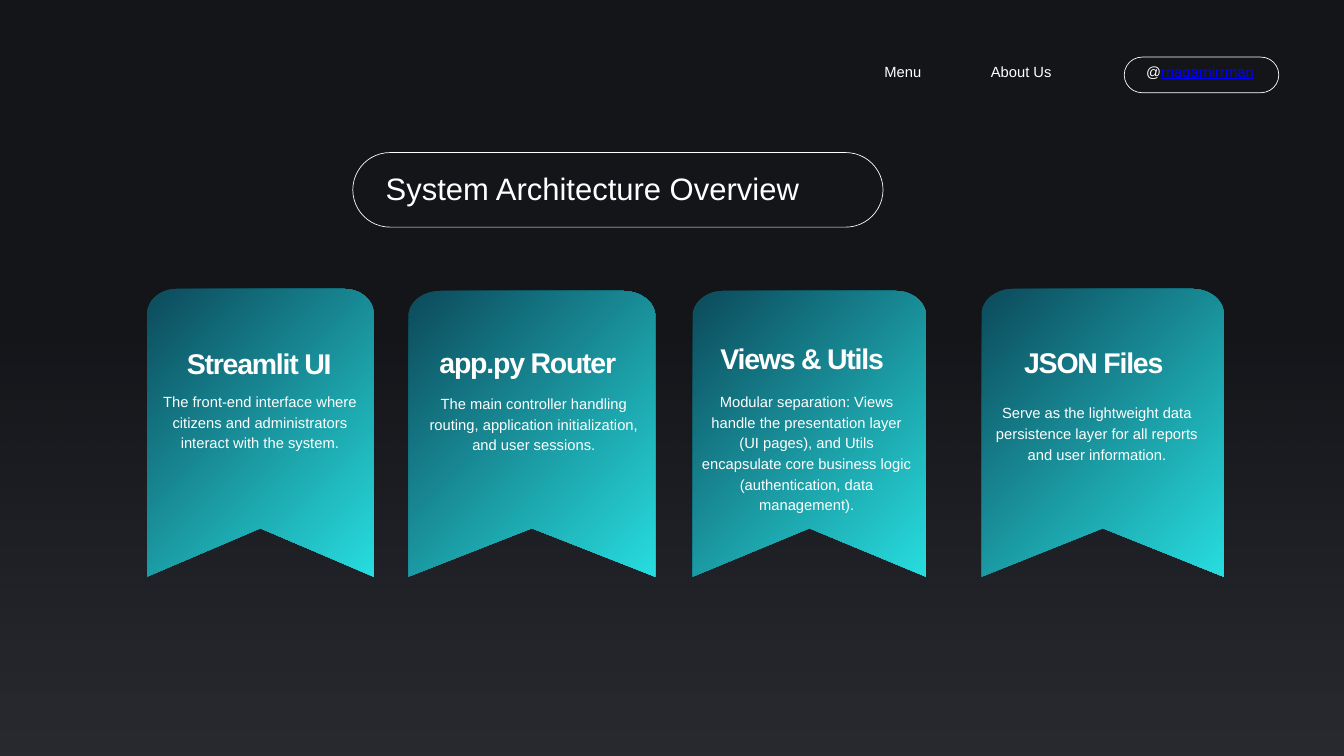
from dataclasses import dataclass
from math import cos, pi, sin

from lxml.etree import SubElement
from pptx import Presentation
from pptx.dml.color import RGBColor
from pptx.enum.shapes import MSO_SHAPE
from pptx.enum.text import MSO_AUTO_SIZE, PP_ALIGN
from pptx.oxml.ns import qn
from pptx.util import Inches, Pt


@dataclass(frozen=True)
class Theme:
    font: str = "Arial"
    background: RGBColor = RGBColor.from_string("141519")
    glow: RGBColor = RGBColor.from_string("2D2E34")
    white: RGBColor = RGBColor.from_string("FFFFFF")
    link: RGBColor = RGBColor.from_string("0000FF")
    ribbon_dark: RGBColor = RGBColor.from_string("0C4A5B")
    ribbon_light: RGBColor = RGBColor.from_string("27DDDF")
    body: float = 15.8
    heading: float = 30.5
    title: float = 33.2


THEME = Theme()


def add_text(slide, box, text, size, leading, align=PP_ALIGN.LEFT):
    sp = slide.shapes.add_textbox(*map(Inches, box))
    tf = sp.text_frame
    tf.margin_left = tf.margin_top = tf.margin_right = tf.margin_bottom = 0
    tf.word_wrap = True
    tf.auto_size = MSO_AUTO_SIZE.SHAPE_TO_FIT_TEXT
    p = tf.paragraphs[0]
    p.alignment = align
    p.line_spacing = Pt(leading)
    return add_run(p, text, size)


def add_run(p, text, size):
    r = p.add_run()
    r.text = text
    r.font.name = THEME.font
    r.font.size = Pt(size)
    r.font.color.rgb = THEME.white
    return r


def fill_gradient(sp, start, end, angle):
    """Fill without outline; the angle runs clockwise from left-to-right."""
    sp.shadow.inherit = False
    sp.line.fill.background()
    sp.fill.gradient()
    sp.fill.gradient_angle = 360 - angle
    stops = sp.fill.gradient_stops
    for stop, position, color in zip(stops, (0, 1), (start, end)):
        stop.position = position
        stop.color.rgb = color


def add_pill(slide, box):
    sp = slide.shapes.add_shape(MSO_SHAPE.ROUNDED_RECTANGLE, *map(Inches, box))
    sp.adjustments[0] = 0.5
    sp.shadow.inherit = False
    sp.fill.background()
    sp.line.color.rgb = THEME.white
    sp.line.width = Pt(0.75)


def add_glow(slide, box):
    """Panel that fades in from transparent towards the foot of the slide."""
    sp = slide.shapes.add_shape(MSO_SHAPE.RECTANGLE, *map(Inches, box))
    fill_gradient(sp, THEME.glow, THEME.glow, 90)
    first_color = next(sp._element.spPr.iter(qn("a:gs")))[0]
    SubElement(first_color, qn("a:alpha")).set("val", "0")


def add_ribbon(slide, box):
    """Banner with elliptical top corners and a notch in its lower edge."""
    left, top, width, height = box
    right, bottom = left + width, top + height
    rx, ry, notch, steps = 0.13 * width, 0.37, 0.72, 16

    def corner(center_x, start):
        angles = (start + i * pi / 2 / steps for i in range(steps + 1))
        return [(center_x + rx * cos(a), top + ry - ry * -sin(a)) for a in angles]

    points = [
        (left, bottom),
        *corner(left + rx, pi),
        *corner(right - rx, 1.5 * pi),
        (right, bottom),
        (left + width / 2, bottom - notch),
    ]
    points = [(Inches(x), Inches(y)) for x, y in points]
    builder = slide.shapes.build_freeform(*points[0])
    builder.add_line_segments(points[1:], close=True)
    fill_gradient(builder.convert_to_shape(), THEME.ribbon_dark, THEME.ribbon_light, 45)


def add_navigation(slide, left, top):
    height, text_top = 0.53, top + 0.15
    add_pill(slide, (left + 3.91, top, 2.3, height))
    for x, width, label in ((0, 0.89, "Menu"), (1.59, 1.24, "About Us"), (3.91, 1.93, "@")):
        r = add_text(slide, (left + x, text_top, width, 0.24), label,
                     THEME.body, 13.9, PP_ALIGN.RIGHT)
    p = slide.shapes[-1].text_frame.paragraphs[0]
    r = add_run(p, "rnagarnirrman", THEME.body)
    r.font.color.rgb = THEME.link
    r.font.underline = True


def add_title(slide, box, text):
    left, top, width, _ = box
    add_pill(slide, box)
    add_text(slide, (left + 0.49, top + 0.4, width - 0.99, 0.9), text, THEME.title, 29.2)


def add_card(slide, box, heading, heading_at, body, body_at):
    """Ribbon with texts; each *_at is (x, y, width) measured from the box."""
    left, top = box[:2]
    add_ribbon(slide, box)
    x, y, width = heading_at
    r = add_text(slide, (left + x, top + y, width, 0.51), heading, THEME.heading, 31.7)
    r.font.bold = True
    r._r.get_or_add_rPr().set("spc", "-130")
    x, y, width = body_at
    add_text(slide, (left + x, top + y, width, 0.92), body,
             THEME.body, 22.1, PP_ALIGN.CENTER)


CARDS = (
    ((2.19, 4.3, 3.37, 4.28), "Streamlit UI", (0.59, 0.92, 2.3),
     "The front-end interface where citizens and administrators interact with the system.",
     (0.15, 1.5, 3.06)),
    ((6.08, 4.33, 3.67, 4.25), "app.py Router", (0.46, 0.87, 2.75),
     "The main controller handling routing, application initialization, and user sessions.",
     (0.29, 1.5, 3.15)),
    ((10.31, 4.33, 3.47, 4.25), "Views & Utils", (0.41, 0.82, 2.66),
     "Modular separation: Views handle the presentation layer (UI pages), and Utils "
     "encapsulate core business logic (authentication, data management).",
     (0.12, 1.47, 3.15)),
    ((14.61, 4.3, 3.6, 4.28), "JSON Files", (0.63, 0.9, 2.78),
     "Serve as the lightweight data persistence layer for all reports and user information.",
     (0.14, 1.67, 3.15)),
)


def main():
    prs = Presentation()
    prs.slide_width, prs.slide_height = Inches(20), Inches(11.25)
    s = prs.slides.add_slide(prs.slide_layouts[6])
    s.background.fill.solid()
    s.background.fill.fore_color.rgb = THEME.background
    add_glow(s, (0, 4.8, 20, 7.26))
    add_navigation(s, 12.82, 0.85)
    add_title(s, (5.25, 2.27, 7.89, 1.11), "System Architecture Overview")
    for card in CARDS:
        add_card(s, *card)
    prs.save("out.pptx")


if __name__ == "__main__":
    main()
